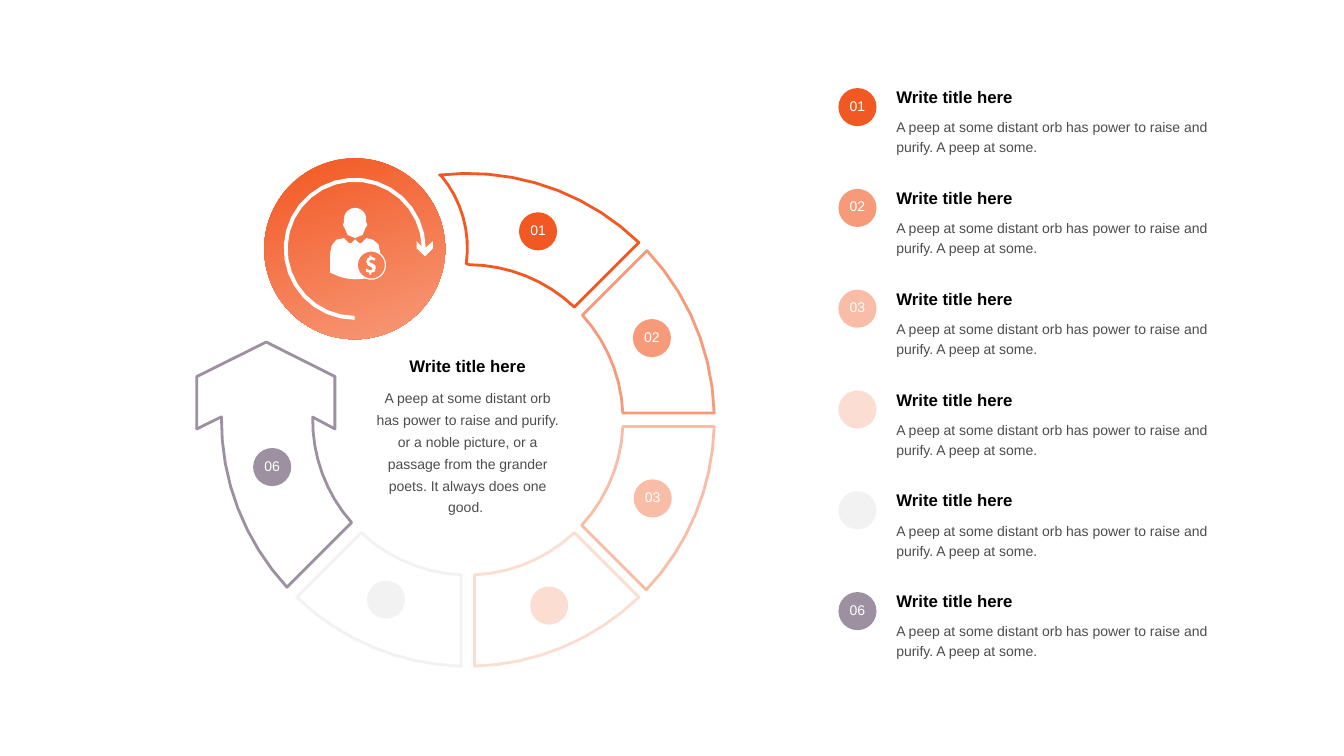
import math
from dataclasses import dataclass

import pptx
import pptx.dml.color
import pptx.enum.shapes
import pptx.enum.text
import pptx.oxml.ns
import pptx.util
from lxml import etree
from pptx.util import Cm


@dataclass(frozen=True)
class Theme:
    """Colours, font and type sizes."""
    steps: tuple = ("F25822", "F79A7A", "F9BCA6", "FCDDD2", "F2F2F2", "9D90A0")
    white: str = "FFFFFF"
    black: str = "000000"
    font: str = "Arial"
    title: int = 12
    body: int = 10


@dataclass(frozen=True)
class Box:
    """A rectangle in centimetres."""
    left: float
    top: float
    width: float
    height: float

    def centre(self):
        """Return the middle point."""
        return self.left + self.width / 2, self.top + self.height / 2

    def lengths(self):
        """Return the four lengths for a new shape."""
        return Cm(self.left), Cm(self.top), Cm(self.width), Cm(self.height)


THEME = Theme()
TITLE = "Write title here"
STEP_TEXT = "A peep at some distant orb has power to raise and purify. A peep at some."
CENTRE_TEXT = ("A peep at some distant orb has power to raise and purify. or a noble picture, "
               "or a passage from the grander poets. It always does one good. ")
LABELS = ("01", "02", "03", "", "", "06")
BADGE = 0.96
ALIGN = pptx.enum.text.PP_ALIGN


def rgb(colour):
    """Turn a hex string into a colour."""
    return pptx.dml.color.RGBColor.from_string(colour)


def arc(radius, start, end, centre=(0, 0)):
    """List points along an arc, angles in degrees clockwise from the right."""
    count = math.ceil(abs(end - start) / (6 if radius > 2 else 12))
    angles = [math.radians(start + (end - start) * i / count) for i in range(count + 1)]
    return [(centre[0] + radius * math.cos(a), centre[1] + radius * math.sin(a)) for a in angles]


def add_outline(slide, origin, contours, fill, line=None):
    """Draw closed contours, given relative to the origin, as one shape."""
    placed = [[(Cm(origin[0] + x), Cm(origin[1] + y)) for x, y in contour] for contour in contours]
    builder = slide.shapes.build_freeform(*placed[0][0])
    builder.add_line_segments(placed[0][1:])
    for contour in placed[1:]:
        builder.move_to(*contour[0])
        builder.add_line_segments(contour[1:])
    shape = builder.convert_to_shape()
    shape.shadow.inherit = False
    shape.fill.solid()
    shape.fill.fore_color.rgb = rgb(fill)
    if line:
        shape.line.color.rgb = rgb(line)
        shape.line.width = pptx.util.Pt(2)
        line_element = shape._element.spPr.find(pptx.oxml.ns.qn("a:ln"))
        etree.SubElement(line_element, pptx.oxml.ns.qn("a:round"))
    else:
        shape.line.fill.background()


def add_text(paragraph, text, size=THEME.body, colour=THEME.black, bold=False,
             align=ALIGN.LEFT, spacing=1.2, before=0, alpha=None):
    """Write one formatted paragraph."""
    paragraph.alignment = align
    paragraph.line_spacing = spacing
    paragraph.space_before = pptx.util.Pt(before)
    run = paragraph.add_run()
    run.text = text
    run.font.name = THEME.font
    run.font.size = pptx.util.Pt(size)
    run.font.bold = bold
    run.font.color.rgb = rgb(colour)
    if alpha:
        colour_element = run._r.find(".//" + pptx.oxml.ns.qn("a:srgbClr"))
        etree.SubElement(colour_element, pptx.oxml.ns.qn("a:alpha"), val=str(alpha * 1000))


def add_circle(slide, box):
    """Add a circle without line or shadow."""
    circle = slide.shapes.add_shape(pptx.enum.shapes.MSO_SHAPE.OVAL, *box.lengths())
    circle.shadow.inherit = False
    circle.line.fill.background()
    return circle


def add_badge(slide, left, top, index):
    """Add the circle of a step, with its number where it is legible."""
    badge = add_circle(slide, Box(left, top, BADGE, BADGE))
    badge.fill.solid()
    badge.fill.fore_color.rgb = rgb(THEME.steps[index])
    if LABELS[index]:
        frame = badge.text_frame
        frame.margin_left = frame.margin_right = frame.margin_top = frame.margin_bottom = 0
        frame.vertical_anchor = pptx.enum.text.MSO_ANCHOR.MIDDLE
        add_text(frame.paragraphs[0], LABELS[index], colour=THEME.white,
                 align=ALIGN.CENTER, spacing=0.8)


def add_description(slide, box, body, align=ALIGN.LEFT, spacing=1.2):
    """Add a bold title with a paragraph under it."""
    frame = slide.shapes.add_textbox(*box.lengths()).text_frame
    frame.word_wrap = True
    frame.auto_size = pptx.enum.text.MSO_AUTO_SIZE.SHAPE_TO_FIT_TEXT
    frame.margin_left = frame.margin_right = 0
    frame.margin_top = frame.margin_bottom = Cm(0.13)
    add_text(frame.paragraphs[0], TITLE, size=THEME.title, bold=True, align=align)
    add_text(frame.add_paragraph(), body, align=align, spacing=spacing, before=6, alpha=70)


def add_ring(slide, box):
    """Draw the six ring segments, their badges and the text in the middle."""
    centre_x, centre_y = box.centre()
    outer, inner = box.width / 2, 3.91
    gaps = [(0, 0.11), (0.18, 0.17), (0.17, 0.15), (0.11, 0.17), (0.17, 0.11), (0.24, 0)]
    arrow_head = [(-6.83, 0.23), (-6.83, -1.09), (-5.08, -1.96), (-3.35, -1.09), (-3.35, 0.23)]
    notch = arc(2.85, 8, -40, centre=(-2.86, -4.33))
    badges = [(1.77, -4.75), (4.64, -2.06), (4.66, 1.98),
              (2.05, 4.68), (-2.06, 4.53), (-4.93, 1.19)]

    def edges(radius, index):
        """Return the angles where a segment starts and ends at a radius."""
        start_gap, end_gap = (math.degrees(math.asin(gap / radius)) for gap in gaps[index])
        return -90 + 45 * index + start_gap, -45 + 45 * index - end_gap

    for index, colour in enumerate(THEME.steps):
        outer_start, outer_end = edges(outer, index)
        inner_start, inner_end = edges(inner, index)
        head, tail = [], []
        if index == 0:
            outer_start, inner_start, tail = -96.6, -89.4, notch
        elif index == 5:
            outer_end, inner_end, head = 180.7, 181, arrow_head
        points = arc(outer, outer_start, outer_end) + head + arc(inner, inner_end, inner_start) + tail
        add_outline(slide, (centre_x, centre_y), [points], THEME.white, colour)
    for index, (x, y) in enumerate(badges):
        add_badge(slide, centre_x + x - BADGE / 2, centre_y + y - BADGE / 2, index)
    add_description(slide, Box(centre_x - 2.42, centre_y - 1.84, 4.83, 4.42), CENTRE_TEXT,
                    ALIGN.CENTER, 1.3)


def add_medallion(slide, box):
    """Draw the gradient disc with its round arrow and customer icon."""
    disc = add_circle(slide, box)
    disc.fill.gradient()
    disc.fill.gradient_angle = 290
    for stop, colour in zip(disc.fill.gradient_stops, THEME.steps):
        stop.color.rgb = rgb(colour)
    arrow_head = [(1.97, -0.19), (1.97, -0.01), (1.77, 0.19), (1.56, -0.01), (1.56, -0.19)]
    round_arrow = arc(1.79, 90, 359) + arrow_head + arc(1.69, 358, 90)
    head = arc(0.28, 180, 360, centre=(0.01, -0.75)) + [
        (0.29, -0.67), (0.32, -0.6), (0.27, -0.52), (0.2, -0.35), (0.01, -0.27),
        (-0.18, -0.35), (-0.25, -0.52), (-0.3, -0.6), (-0.27, -0.67)]
    coin = (0.42, 0.41)
    body = [(0.6, -0.11), (0.46, -0.23), (0.29, -0.27), (0.17, -0.14), (0.11, -0.14),
            (0.01, -0.24), (-0.09, -0.14), (-0.14, -0.14), (-0.27, -0.27), (-0.46, -0.23),
            (-0.58, -0.08), (-0.62, 0.11), (-0.62, 0.6), (-0.39, 0.7), (-0.2, 0.75),
            (0.01, 0.77), (0.27, 0.75)]
    body += arc(0.37, 110, -52, centre=coin)
    dollar = [(0.1, 0.01), (0.03, -0.04), (-0.03, -0.06), (-0.05, -0.09), (-0.05, -0.11),
              (0, -0.14), (0.08, -0.11), (0.1, -0.17), (0.05, -0.19), (0, -0.21), (0, -0.24),
              (-0.05, -0.24), (-0.05, -0.19), (-0.1, -0.17), (-0.13, -0.09), (-0.1, -0.01),
              (-0.05, 0.03), (0, 0.05), (0.03, 0.09), (0, 0.13), (-0.05, 0.13), (-0.13, 0.09),
              (-0.13, 0.17), (-0.05, 0.19), (-0.05, 0.24), (0, 0.24), (0, 0.19),
              (0.08, 0.17), (0.11, 0.08)]
    dollar = [(coin[0] + x, coin[1] + y) for x, y in dollar]
    coin_face = arc(0.34, 0, 360, centre=coin)
    for contours in ([round_arrow], [head], [body, coin_face], [dollar]):
        add_outline(slide, box.centre(), contours, THEME.white)


def add_step_list(slide, box):
    """List the six steps, one row each."""
    pitch = box.height / len(THEME.steps)
    for index in range(len(THEME.steps)):
        top = box.top + pitch * index
        add_badge(slide, box.left, top + 0.26, index)
        add_description(slide, Box(box.left + 1.46, top, box.width - 1.46, 2.11), STEP_TEXT)


def main():
    """Build and save the slide."""
    presentation = pptx.Presentation()
    presentation.slide_width, presentation.slide_height = Cm(33.87), Cm(19.05)
    slide = presentation.slides.add_slide(presentation.slide_layouts[6])
    add_ring(slide, Box(5.58, 4.37, 12.42, 12.42))
    add_medallion(slide, Box(6.66, 3.99, 4.56, 4.56))
    add_step_list(slide, Box(21.13, 1.96, 9.44, 15.24))
    presentation.save("out.pptx")


if __name__ == "__main__":
    main()
